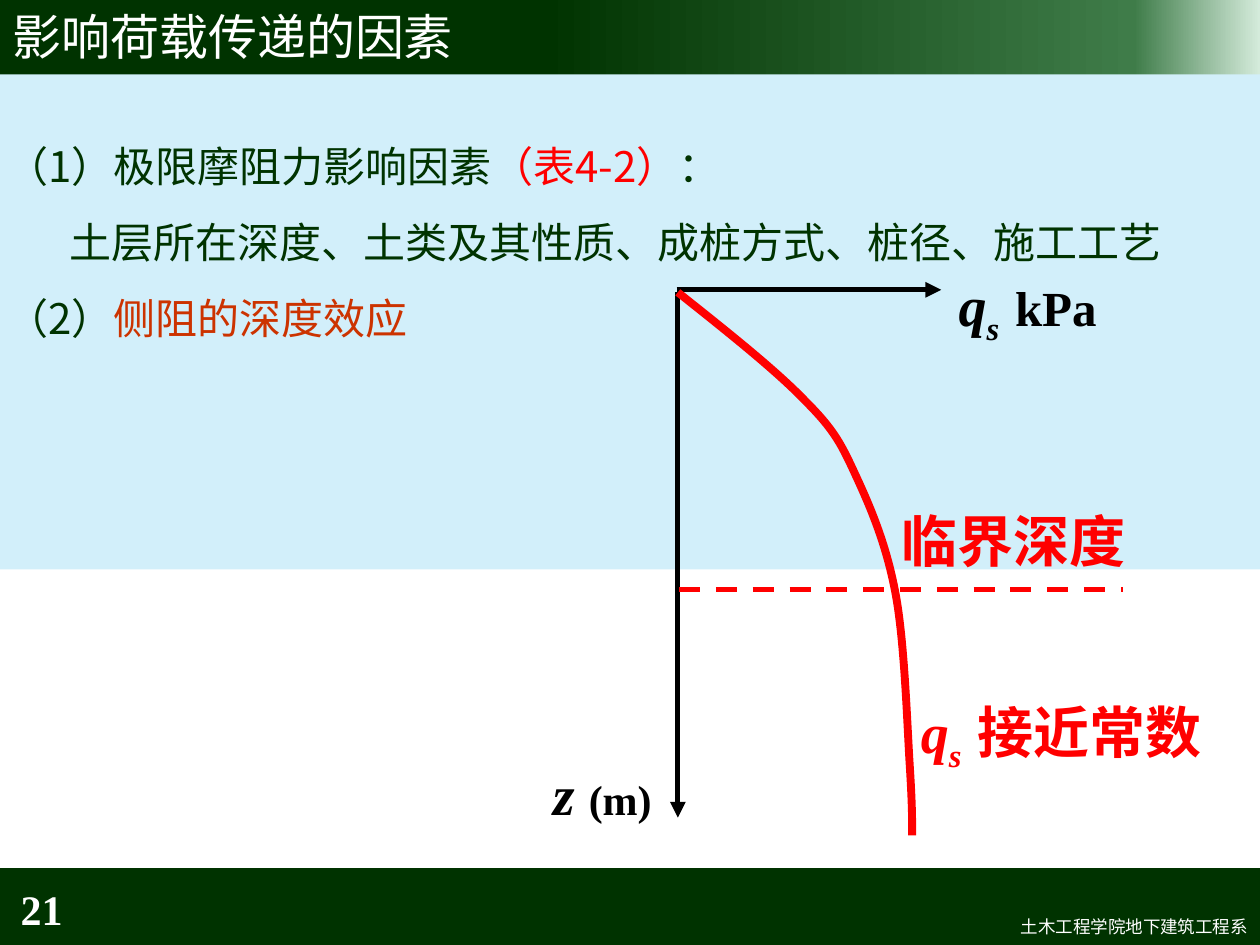
from lxml import etree
from pptx import Presentation
from pptx.dml.color import RGBColor
from pptx.enum.dml import MSO_LINE
from pptx.enum.shapes import MSO_CONNECTOR, MSO_SHAPE
from pptx.enum.text import MSO_ANCHOR, MSO_AUTO_SIZE, PP_ALIGN
from pptx.oxml.ns import qn
from pptx.util import Inches, Pt

SANS, HEAVY, SERIF = "Noto Sans CJK SC", "Noto Sans CJK JP", "Times New Roman"
GREEN, RED, RUST, BLACK, WHITE = "003300", "FF0000", "CC3300", "000000", "FFFFFF"
PALE_BLUE = "D2EFFA"
HEADER_STOPS = [(43, GREEN), (90, "3F7C49"), (100, "D4EBDB")]

# Each run is (text, format); a paragraph is a list of runs.
TITLE = [("影响荷载传递的因素", dict(size=28, name=SANS, color=WHITE))]
FOOTER = [("土木工程学院地下建筑工程系", dict(size=10, name=SANS, color=WHITE))]
NUMBER = [("21", dict(size=24, name=SERIF, color=WHITE, bold=True))]

BODY_FORMAT = dict(size=24, name=SANS, color=GREEN)
BODY = [  # left margin, runs
    (0.08, [("（1）极限摩阻力影响因素", {}), ("（表4-2）", dict(color=RED)), ("：", {})]),
    (0.58, [("土层所在深度、土类及其性质、成桩方式、桩径、施工工艺", {})]),
    (0.08, [("（2）", {}), ("侧阻的深度效应", dict(color=RUST))]),
]

AXIS = dict(size=32, name=SERIF, color=BLACK, bold=True)
NOTE = AXIS | dict(color=RED)
SYMBOL = dict(italic=True)
SUBSCRIPT = dict(italic=True, baseline=-25)
LABELS = [  # box, left inset, base format, runs
    ((7.06, 3.97, 2.27, 0.61), 0.1, NOTE | dict(name=HEAVY), [("临界深度", {})]),
    ((7.51, 2.04, 1.68, 0.61), 0.1, AXIS,
     [("q", SYMBOL), ("s", SUBSCRIPT), (" ", dict(size=36)), ("kPa", dict(size=28))]),
    ((4.29, 5.98, 1.01, 0.61), 0.1, AXIS, [("z ", SYMBOL), ("(m)", dict(size=24))]),
    ((7.21, 5.43, 2.77, 0.61), 0.1, NOTE,
     [("q", SYMBOL), ("s", SUBSCRIPT), (" ", dict(size=36)), ("接近常数", {})]),
]
AXES = [((5.37, 2.3), (7.47, 2.3)), ((5.38, 2.32), (5.38, 6.49))]
CRITICAL_DEPTH = ((5.39, 4.68), (8.91, 4.68))
CURVE = [  # start, then two control points and an end point per segment
    (5.38, 2.32),
    (5.77, 2.63), (6.16, 2.94), (6.39, 3.18),
    (6.63, 3.42), (6.68, 3.53), (6.8, 3.79),
    (6.92, 4.05), (7.04, 4.34), (7.11, 4.72),
    (7.18, 5.1), (7.2, 5.74), (7.22, 6.06),
    (7.24, 6.38), (7.24, 6.5), (7.24, 6.63),
]


def rgb(color):
    return RGBColor.from_string(color)


def inches(values):
    return [Inches(v) for v in values]


def write(p, runs, base=None):
    for text, extra in runs:
        r = p.add_run()
        r.text = text
        values = (base or {}) | extra
        for key, value in values.items():
            if key == "size":
                r.font.size = Pt(value)
            elif key == "color":
                r.font.color.rgb = rgb(value)
            elif key == "baseline":
                r.font._element.set("baseline", str(value * 1000))
            else:
                setattr(r.font, key, value)
        ea = etree.SubElement(r.font._element, qn("a:ea"))
        ea.set("typeface", HEAVY if values["name"] == SERIF else values["name"])


def set_frame(sp, **values):
    tf = sp.text_frame
    defaults = dict(word_wrap=True, auto_size=MSO_AUTO_SIZE.NONE,
                    vertical_anchor=MSO_ANCHOR.TOP)
    for key, value in (defaults | values).items():
        setattr(tf, key, value)
    return tf


def add_text(shapes, box, runs, base=None, align=PP_ALIGN.LEFT, **frame):
    p = set_frame(shapes.add_textbox(*inches(box)), **frame).paragraphs[0]
    p.alignment = align
    write(p, runs, base)


def add_band(shapes, top, height, color):
    sp = shapes.add_shape(MSO_SHAPE.RECTANGLE, *inches((0, top, 10, height)))
    sp.shadow.inherit = False
    sp.fill.solid()
    sp.fill.fore_color.rgb = rgb(color)
    sp.line.fill.background()
    return sp


def set_gradient(sp, stops):
    """Fill left to right with any number of (percent, colour) stops."""
    sp.fill.gradient()
    sp.fill.gradient_angle = 0
    stop_list = sp._element.spPr.find(".//" + qn("a:gsLst"))
    for old in list(stop_list):
        stop_list.remove(old)
    for percent, color in stops:
        stop = etree.SubElement(stop_list, qn("a:gs"), pos=str(percent * 1000))
        etree.SubElement(stop, qn("a:srgbClr"), val=color)


def add_line(shapes, start, end, color, arrow=False, dash=None):
    line = shapes.add_connector(MSO_CONNECTOR.STRAIGHT, *inches(start + end))
    line.line.color.rgb = rgb(color)
    line.line.width = Pt(3)
    if dash:
        line.line.dash_style = dash
    if arrow:
        etree.SubElement(line.line._get_or_add_ln(), qn("a:tailEnd"), type="triangle")
    etree.SubElement(line._element.spPr, qn("a:effectLst"))


def add_curve(shapes, points, color):
    """Draw a polyline, then join each three points into a Bezier segment."""
    start, *rest = [inches(pt) for pt in points]
    builder = shapes.build_freeform(*start)
    builder.add_line_segments(rest, close=False)
    sp = builder.convert_to_shape()
    sp.shadow.inherit = False
    sp.fill.background()
    sp.line.color.rgb = rgb(color)
    sp.line.width = Pt(4.5)
    path_xml = sp._element.spPr.find(".//" + qn("a:path"))
    segments = path_xml.findall(qn("a:lnTo"))
    for i in range(0, len(segments), 3):
        bezier = etree.SubElement(path_xml, qn("a:cubicBezTo"))
        for segment in segments[i:i + 3]:
            bezier.append(segment[0])
            path_xml.remove(segment)


def main():
    prs = Presentation()
    prs.slide_width, prs.slide_height = Inches(10), Inches(7.5)
    s = prs.slides.add_slide(prs.slide_layouts[5])
    shapes = s.shapes

    set_gradient(add_band(shapes, -0.03, 0.64, GREEN), HEADER_STOPS)
    add_band(shapes, 6.89, 0.64, GREEN)
    add_text(shapes, (4.21, 7.22, 5.79, 0.27), FOOTER, align=PP_ALIGN.RIGHT)
    add_band(shapes, 0.59, 3.93, PALE_BLUE)
    add_text(shapes, (0, 7.01, 0.66, 0.4), NUMBER, align=PP_ALIGN.CENTER,
             vertical_anchor=MSO_ANCHOR.MIDDLE)

    title = shapes.title
    title.left, title.top, title.width, title.height = inches((0, -0.03, 10, 0.63))
    p = set_frame(title, vertical_anchor=MSO_ANCHOR.MIDDLE).paragraphs[0]
    p.alignment = PP_ALIGN.LEFT
    write(p, TITLE)
    shapes._spTree.append(title._element)  # in front of the header band

    tf = set_frame(shapes.add_textbox(*inches((-0.13, 0.87, 9.82, 2.23))))
    for i, (margin, runs) in enumerate(BODY):
        p = tf.add_paragraph() if i else tf.paragraphs[0]
        p.line_spacing = 1.5
        p._p.get_or_add_pPr().set("marL", str(Inches(margin)))
        write(p, runs, BODY_FORMAT)

    diagram = shapes.add_group_shape().shapes
    for start, end in AXES:
        add_line(diagram, start, end, BLACK, arrow=True)
    add_curve(diagram, CURVE, RED)
    add_line(diagram, *CRITICAL_DEPTH, RED, dash=MSO_LINE.DASH)
    for box, inset, base, runs in LABELS:
        add_text(diagram, box, runs, base, margin_left=Inches(inset))

    prs.save("out.pptx")


if __name__ == "__main__":
    main()
